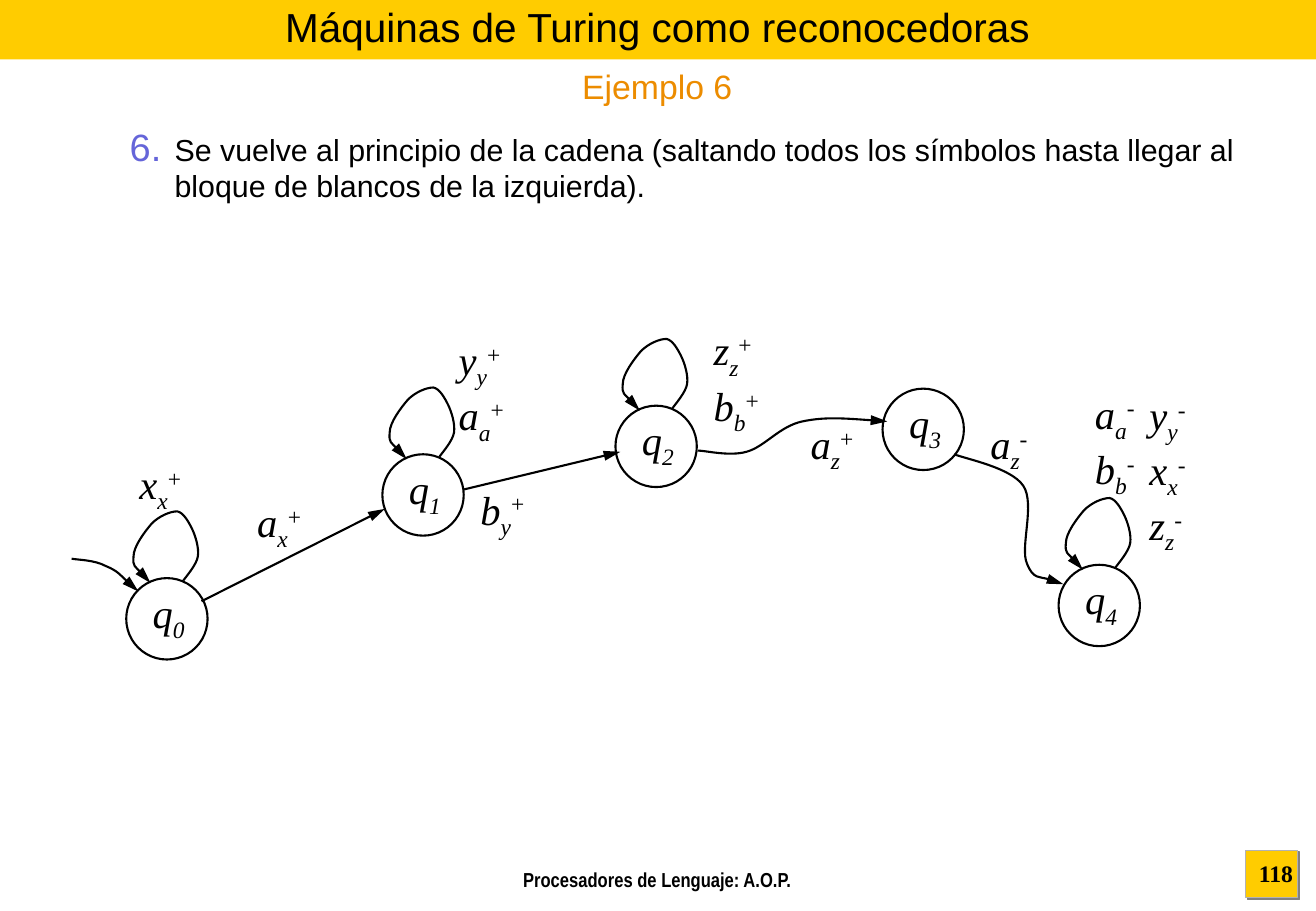
"""Builds the slide with the Turing machine diagram of example 6."""
from lxml.etree import SubElement
from pptx import Presentation
from pptx.dml.color import RGBColor
from pptx.enum.shapes import MSO_CONNECTOR, MSO_SHAPE
from pptx.enum.text import MSO_ANCHOR, MSO_AUTO_SIZE, PP_ALIGN
from pptx.oxml.ns import qn
from pptx.util import Inches, Pt

BLACK = RGBColor(0x00, 0x00, 0x00)
YELLOW = RGBColor(0xFF, 0xCC, 0x00)
ORANGE = RGBColor(0xEC, 0x8C, 0x00)
GREY = RGBColor(0xB2, 0xB2, 0xB2)


def add_run(p, text, size, font="Arial", color=BLACK, bold=False, italic=False, base=0):
    r = p.add_run()
    r.text = text
    r.font.size, r.font.name = Pt(size), font
    r.font.bold, r.font.italic = bold, italic
    r.font.color.rgb = color
    if base:
        r.font._element.set("baseline", str(base * 1000))


def style_arrow(sp):
    sp.line.color.rgb = BLACK
    sp.line.width = Pt(1.25)
    spPr = sp.element.spPr
    SubElement(spPr.find(qn("a:ln")), qn("a:tailEnd"), type="triangle", w="med", len="lg")
    if spPr.find(qn("a:effectLst")) is None:
        SubElement(spPr, qn("a:effectLst"))


prs = Presentation()
prs.slide_width, prs.slide_height = Inches(10.84), Inches(7.5)
s = prs.slides.add_slide(prs.slide_layouts[5])

page_box = s.shapes.add_shape(MSO_SHAPE.RECTANGLE, Inches(10.26), Inches(7), Inches(0.43), Inches(0.39))
band = s.shapes.add_shape(MSO_SHAPE.RECTANGLE, 0, 0, Inches(10.85), Inches(0.49))
for sp in (page_box, band):
    sp.shadow.inherit = False
    sp.fill.solid()
    sp.fill.fore_color.rgb = YELLOW
band.line.fill.background()
page_box.line.color.rgb = GREY
page_box.line.width = Pt(0.75)
effects = page_box.element.spPr.find(qn("a:effectLst"))
shadow = SubElement(effects, qn("a:outerShdw"), dist=str(Pt(1.4)), dir="2700000", algn="ctr", rotWithShape="0")
SubElement(shadow, qn("a:srgbClr"), val="808080")

title = s.shapes.title
s.shapes.element.append(title.element)
title.left, title.top, title.width, title.height = 0, 0, Inches(10.83), Inches(0.44)
tf = title.text_frame
tf.auto_size = MSO_AUTO_SIZE.NONE
tf.vertical_anchor = MSO_ANCHOR.MIDDLE
p = tf.paragraphs[0]
p.alignment = PP_ALIGN.CENTER
add_run(p, "Máquinas de Turing como reconocedoras", 24)

captions = [
    (0, 0.49, 10.83, 0.44, "Ejemplo 6", 20, "Arial", ORANGE, False),
    (3.01, 7.09, 4.81, 0.18, "Procesadores de Lenguaje: A.O.P.", 12, "Arial Narrow", BLACK, True),
    (10.24, 7.02, 0.54, 0.35, "118", 14, "Times New Roman", BLACK, True),
]
for x, y, w, h, text, size, font, color, bold in captions:
    tf = s.shapes.add_textbox(Inches(x), Inches(y), Inches(w), Inches(h)).text_frame
    tf.word_wrap = True
    p = tf.paragraphs[0]
    p.alignment = PP_ALIGN.CENTER
    add_run(p, text, size, font, color, bold)

tf = s.shapes.add_textbox(Inches(0.45), Inches(1.03), Inches(9.96), Inches(5.8)).text_frame
tf.word_wrap = True
p = tf.paragraphs[0]
pPr = p._p.get_or_add_pPr()
pPr.set("marL", str(Inches(0.89)))
pPr.set("indent", str(Inches(-0.37)))
SubElement(SubElement(pPr, qn("a:buClr")), qn("a:srgbClr"), val="6565D9")
SubElement(pPr, qn("a:buSzPct"), val="125000")
SubElement(pPr, qn("a:buFont"), typeface="Arial")
SubElement(pPr, qn("a:buAutoNum"), type="arabicPeriod", startAt="6")
add_run(p, "Se vuelve al principio de la cadena (saltando todos los símbolos hasta llegar al "
           "bloque de blancos de la izquierda).", 18)

states = [(1.04, 4.76), (3.15, 3.74), (5.07, 3.34), (7.27, 3.2), (8.72, 4.65)]
for i, (x, y) in enumerate(states):
    sp = s.shapes.add_shape(MSO_SHAPE.OVAL, Inches(x), Inches(y), Inches(0.67), Inches(0.67))
    sp.shadow.inherit = False
    sp.fill.background()
    sp.line.color.rgb = BLACK
    sp.line.width = Pt(1.25)
    tf = s.shapes.add_textbox(Inches(x + 0.12), Inches(y + 0.03), Inches(0.46), Inches(0.56)).text_frame
    tf.word_wrap = False
    p = tf.paragraphs[0]
    p.alignment = PP_ALIGN.CENTER
    add_run(p, "q", 24, "Times New Roman", italic=True)
    add_run(p, str(i), 24, "Times New Roman", italic=True, base=-25)

for x1, y1, x2, y2 in [(1.66, 4.95, 3.17, 4.19), (3.82, 4.03, 5.11, 3.72)]:
    style_arrow(s.shapes.add_connector(MSO_CONNECTOR.STRAIGHT, Inches(x1), Inches(y1), Inches(x2), Inches(y2)))

loop = [(0.47, 0.02), (0.49, -0.01), (0.58, -0.11), (0.59, -0.18), (0.6, -0.25), (0.57, -0.35),
        (0.54, -0.41), (0.51, -0.47), (0.47, -0.54), (0.42, -0.55), (0.36, -0.55), (0.27, -0.51),
        (0.21, -0.45), (0.15, -0.38), (0.06, -0.26), (0.06, -0.18), (0.05, -0.09), (0.17, 0), (0.2, 0.04)]
curves = [
    [(0.59, 4.6), (0.64, 4.61), (0.78, 4.61), (0.87, 4.66), (0.97, 4.7), (1.09, 4.83), (1.14, 4.87)],
    [(5.75, 3.71), (5.81, 3.71), (6.01, 3.76), (6.15, 3.72), (6.3, 3.68), (6.42, 3.51), (6.61, 3.47),
     (6.8, 3.43), (7.03, 3.45), (7.31, 3.47)],
    [(7.86, 3.74), (7.96, 3.78), (8.33, 3.85), (8.43, 4), (8.53, 4.15), (8.4, 4.51), (8.46, 4.64),
     (8.51, 4.77), (8.7, 4.77), (8.76, 4.81)],
]
curves += [[(x + dx, y + dy) for dx, dy in loop] for x, y in states[:3] + states[4:]]
for curve in curves:
    start, *points = [(Inches(x), Inches(y)) for x, y in curve]
    builder = s.shapes.build_freeform(*start)
    builder.add_line_segments(points, close=False)
    sp = builder.convert_to_shape()
    outline = next(sp.element.iter(qn("a:path")))
    segments = outline.findall(qn("a:lnTo"))
    for i in range(0, len(segments), 3):
        bezier = SubElement(outline, qn("a:cubicBezTo"))
        for segment in segments[i:i + 3]:
            bezier.append(segment[0])
            outline.remove(segment)
    sp.shadow.inherit = False
    sp.fill.background()
    style_arrow(sp)

labels = [
    (1.05, 3.73, ["xx+"]), (2.02, 4.04, ["ax+"]), (3.68, 2.71, ["yy+", "aa+"]),
    (3.86, 3.94, ["by+"]), (5.78, 2.63, ["zz+", "bb+"]), (6.58, 3.4, ["az+"]),
    (8.06, 3.4, ["az-"]), (8.92, 3.15, ["aa-", "bb-"]), (9.37, 3.16, ["yy-", "xx-", "zz-"]),
]
for x, y, moves in labels:
    height = 0.1 + 0.46 * len(moves)
    tf = s.shapes.add_textbox(Inches(x), Inches(y), Inches(0.76), Inches(height)).text_frame
    tf.word_wrap = True
    for i, (read, write, move) in enumerate(moves):
        p = tf.add_paragraph() if i else tf.paragraphs[0]
        add_run(p, read, 24, "Times New Roman", italic=True)
        add_run(p, write, 24, "Times New Roman", italic=True, base=-25)
        add_run(p, move, 24, "Times New Roman", base=30)

prs.save("out.pptx")
